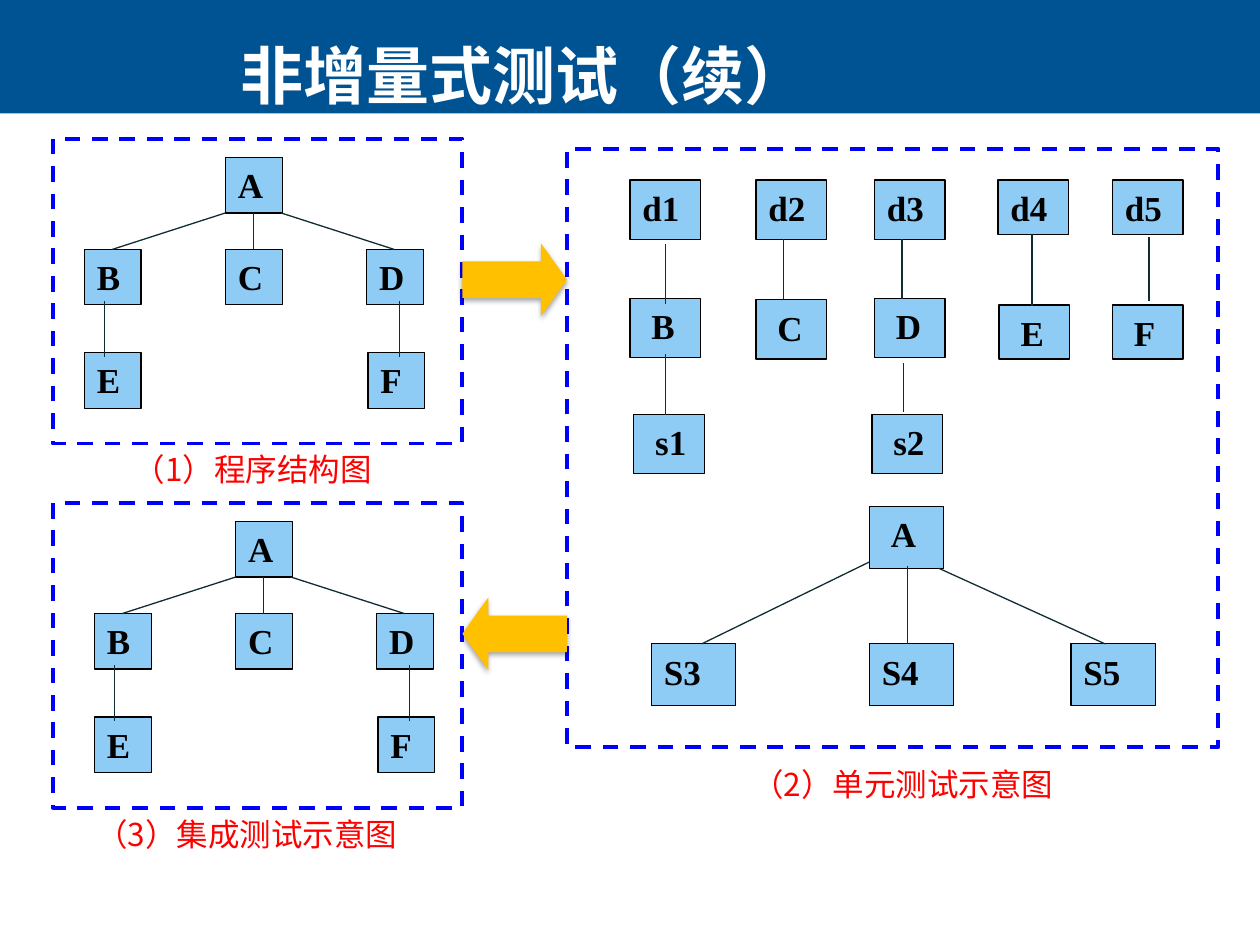
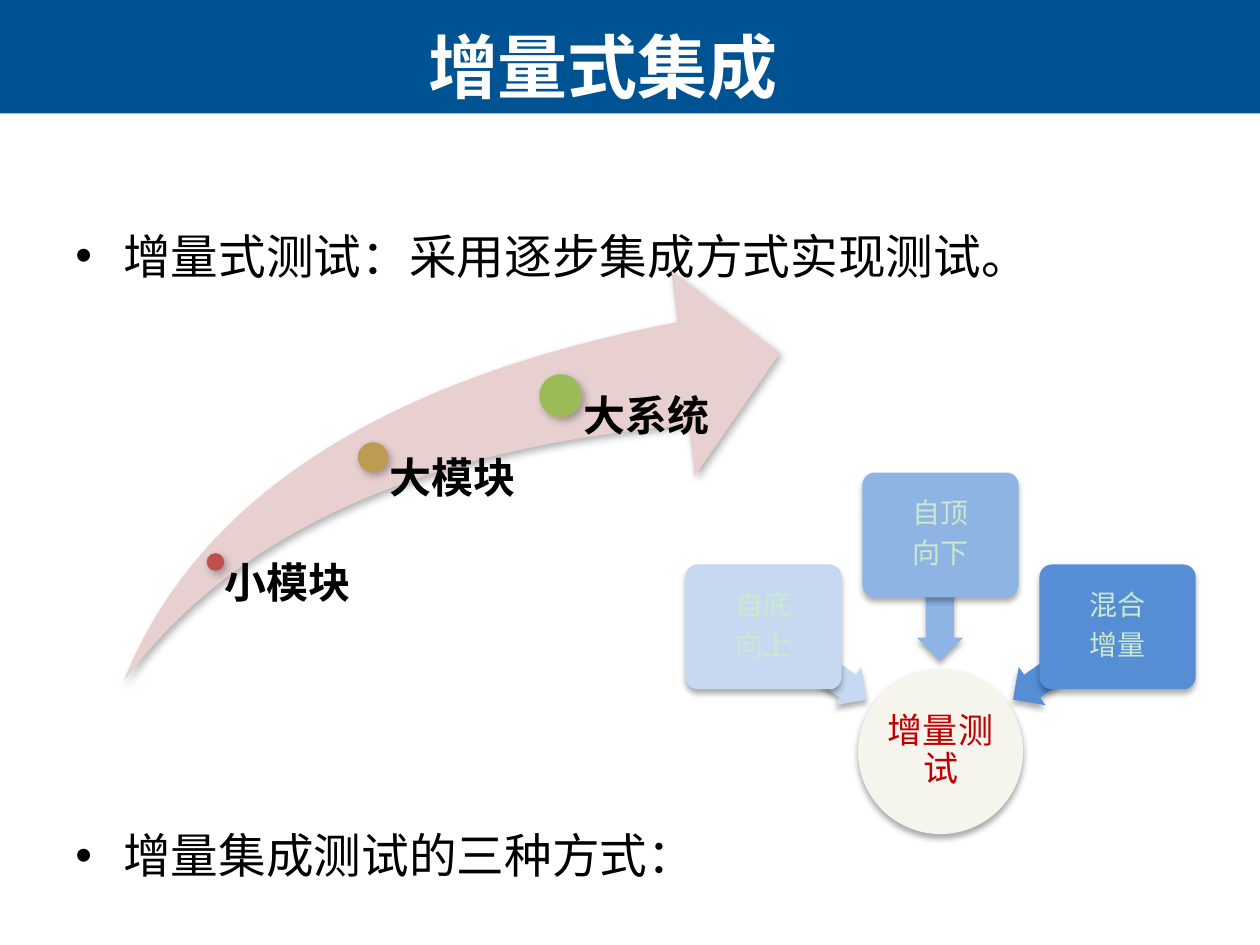
from dataclasses import dataclass

from lxml.etree import SubElement
from pptx import Presentation
from pptx.dml.color import RGBColor
from pptx.enum.dml import MSO_LINE
from pptx.enum.shapes import MSO_CONNECTOR, MSO_SHAPE as Shape
from pptx.enum.text import MSO_ANCHOR as Anchor, PP_ALIGN as Align
from pptx.oxml.ns import qn
from pptx.util import Inches, Pt


@dataclass(frozen=True)
class Theme:
    page: str = "FFFFFF"
    band: str = "005392"
    ink: str = "000000"
    node: str = "8FCCF5"
    link: str = "102C34"
    frame: str = "0000FF"
    caption: str = "FF0000"
    flow: str = "FFC000"
    pale: str = "CCE8CF"
    swoosh: str = "E8D0D0"
    hub: str = "F5F4ED"
    hub_text: str = "C00000"
    stages: tuple = ("C0504D", "BD9B53", "9BBB59")
    methods: tuple = ("C6D9F1", "8EB4E3", "558ED5")
    heading_font: str = "Arial"
    node_font: str = "Times New Roman"
    stage_font: str = "Calibri"
    chinese_font: str = "Noto Sans CJK SC"
    bullet_size: float = 27.2
    stage_size: int = 24
    node_size: int = 20
    caption_size: int = 18
    method_size: int = 16
    flow_shadow: tuple = (35, 3.1, 1.8, 90)
    growth_shadow: tuple = (30, 4.5, 2.6, 53)
    method_shadow: tuple = (32, 3.5, 2.2, 90)


class Board:
    COLUMNS, ROWS = 100, 75

    def __init__(self, theme):
        self.theme = theme
        self.deck = Presentation()
        self.deck.slide_width, self.deck.slide_height = Inches(10), Inches(7.5)
        self.slide = None

    def x(self, columns):
        return round(self.deck.slide_width * columns / self.COLUMNS)

    def y(self, rows):
        return round(self.deck.slide_height * rows / self.ROWS)

    def area(self, left, top, width, height):
        return self.x(left), self.y(top), self.x(width), self.y(height)

    def start(self, title, area, size):
        self.slide = self.deck.slides.add_slide(self.deck.slide_layouts[6])
        backdrop = self.slide.background.fill
        backdrop.solid()
        backdrop.fore_color.rgb = RGBColor.from_string(self.theme.page)
        self.shape(Shape.RECTANGLE, (0, 0, 100, 9), self.theme.band)
        self.text(area, title, self.theme.heading_font, size, self.theme.page,
                  bold=True, align=Align.CENTER, anchor=Anchor.MIDDLE)

    def shape(self, preset, area, fill=None, line=None, weight=0.75, adjust=(), turn=0, shadow=None):
        part = self.slide.shapes.add_shape(preset, *self.area(*area))
        part.shadow.inherit = False
        part.rotation = turn
        for index, share in enumerate(adjust):
            part.adjustments[index] = share
        if fill:
            part.fill.solid()
            part.fill.fore_color.rgb = RGBColor.from_string(fill)
        else:
            part.fill.background()
        if line:
            part.line.color.rgb = RGBColor.from_string(line)
            part.line.width = Pt(weight)
        else:
            part.line.fill.background()
        if shadow:
            self.cast(part, *shadow)
        return part

    def cast(self, part, opacity, blur, distance, angle):
        effects = part._element.spPr.find(qn("a:effectLst"))
        outer = SubElement(effects, qn("a:outerShdw"), blurRad=str(Pt(blur)), dist=str(Pt(distance)),
                           dir=str(angle * 60000), algn="ctr", rotWithShape="0")
        tint = SubElement(outer, qn("a:srgbClr"), val=self.theme.ink)
        SubElement(tint, qn("a:alpha"), val=str(opacity * 1000))

    def letter(self, part, lines, font, size, color, bold=False, align=Align.LEFT, anchor=Anchor.TOP,
               insets=(0.1, 0.05, 0.1, 0.05), spacing=None, after=0, gap=0, bullet=None):
        frame = part.text_frame
        frame.word_wrap = True
        frame.vertical_anchor = anchor
        frame.margin_left, frame.margin_top, frame.margin_right, frame.margin_bottom = map(Inches, insets)
        for index, line in enumerate(lines.split("\n")):
            paragraph = frame.add_paragraph() if index else frame.paragraphs[0]
            if bullet:
                self.mark(paragraph, bullet)
            paragraph.alignment = align
            paragraph.line_spacing = spacing
            paragraph.space_after = Pt(after)
            if index:
                paragraph.space_before = Pt(gap)
            run = paragraph.add_run()
            run.text = line
            run.font.name, run.font.size, run.font.bold = font, Pt(size), bold
            run.font.color.rgb = RGBColor.from_string(color)
            SubElement(run._r.get_or_add_rPr(), qn("a:ea"), typeface=self.theme.chinese_font)

    def mark(self, paragraph, bullet):
        properties = paragraph._p.get_or_add_pPr()
        properties.set("marL", str(Inches(0.38)))
        properties.set("indent", str(Inches(-0.38)))
        SubElement(properties, qn("a:buFont"), typeface=self.theme.heading_font)
        SubElement(properties, qn("a:buChar"), char=bullet)

    def text(self, area, lines, *style, **layout):
        self.letter(self.slide.shapes.add_textbox(*self.area(*area)), lines, *style, **layout)

    def node(self, label, area, indented=False):
        box = self.shape(Shape.RECTANGLE, area, self.theme.node, self.theme.ink)
        self.letter(box, label, self.theme.node_font, self.theme.node_size, self.theme.ink, bold=True,
                    insets=(0.17 if indented else 0.1, 0.05, 0.05, 0.05))

    def link(self, x1, y1, x2, y2):
        line = self.slide.shapes.add_connector(
            MSO_CONNECTOR.STRAIGHT, self.x(x1), self.y(y1), self.x(x2), self.y(y2))
        line.line.color.rgb = RGBColor.from_string(self.theme.link)
        line.line.width = Pt(0.75)
        SubElement(line._element.spPr, qn("a:effectLst"))

    def frame(self, *area):
        border = self.shape(Shape.RECTANGLE, area, line=self.theme.frame, weight=2.25)
        border.line.dash_style = MSO_LINE.DASH

    def caption(self, area, words):
        self.text(area, words, self.theme.chinese_font, self.theme.caption_size,
                  self.theme.caption, align=Align.CENTER)

    def module_tree(self, left, top):
        modules = {"A": (11.2, 0), "B": (0, 7.3), "C": (11.2, 7.3), "D": (22.4, 7.3),
                   "E": (0, 15.5), "F": (22.5, 15.5)}
        links = ((11.2, 4.4, 2.2, 7.3), (15.6, 4.4, 24.6, 7.3), (13.4, 4.4, 13.4, 7.3),
                 (1.6, 11.4, 1.6, 15.8), (25, 11.4, 25, 15.8))
        for module, (column, row) in modules.items():
            self.node(module, (left + column, top + row, 4.5, 4.4))
        for x1, y1, x2, y2 in links:
            self.link(left + x1, top + y1, left + x2, top + y2)
        self.frame(4.2, top - 1.5, 32.5, 24.2)


def non_incremental(board):
    board.start("非增量式测试（续）", (7.5, 2.8, 68.1, 6.2), 36)

    board.node("A", (69, 40.2, 5.9, 4.9), indented=True)
    root_links = ((69, 44.6, 55.7), (72, 44.9, 72), (74.5, 45.1, 87.7))
    for stub, left, (x1, y1, x2) in zip(("S3", "S4", "S5"), (51.7, 69, 85), root_links):
        board.node(stub, (left, 51.1, 6.7, 4.9))
        board.link(x1, y1, x2, 51.1)

    units = (("d1", "B", 50, 50, 4.7, 23.7, (52.8, 19.4, 24.1)),
             ("d2", "C", 60, 60, 4.7, 23.8, (62.2, 19, 23.7)),
             ("d3", "D", 69.4, 69.4, 4.7, 23.7, (71.6, 19, 23.7)),
             ("d4", "E", 79.2, 79.3, 4.3, 24.2, (81.9, 18.6, 24.3)),
             ("d5", "F", 88.3, 88.3, 4.3, 24.2, (91.2, 18.8, 23.9)))
    for driver, module, driver_left, module_left, height, module_top, (x, start, end) in units:
        board.node(driver, (driver_left, 14.3, 5.6, height))
        board.node(module, (module_left, module_top, 5.6, height), indented=True)
        board.link(x, start, x, end)
    for stub, left, x, start, end in (("s1", 50.3, 52.8, 28.1, 32.9), ("s2", 69.2, 71.7, 28.8, 32.7)):
        board.node(stub, (left, 32.9, 5.6, 4.7), indented=True)
        board.link(x, start, x, end)
    board.frame(45, 11.8, 51.7, 47.5)

    for left, top in ((6.7, 12.5), (7.5, 41.4)):
        board.module_tree(left, top)
    board.caption((4.2, 35.2, 31.7, 4), "（1）程序结构图")
    board.caption((1.7, 64.2, 35.8, 4), "（3）集成测试示意图")
    board.caption((52.5, 60.2, 38.3, 4), "（2）单元测试示意图")
    for direction, top in ((Shape.RIGHT_ARROW, 19.3), (Shape.LEFT_ARROW, 47.4)):
        board.shape(direction, (36.7, top, 8.3, 5.8), board.theme.flow,
                    adjust=(0.5, 0.357), shadow=board.theme.flow_shadow)


def incremental(board):
    theme = board.theme
    board.start("增量式集成", (13.8, 2.1, 68.1, 6.2), 40)
    board.text((5, 17.5, 90, 49.5), "增量式测试：采用逐步集成方式实现测试。\n增量集成测试的三种方式：",
               theme.heading_font, theme.bullet_size, theme.ink, gap=310, bullet="•")

    board.shape(Shape.SWOOSH_ARROW, (9.8, 21.5, 52.1, 32.6), theme.swoosh,
                adjust=(0.25, 0.25), shadow=theme.growth_shadow)
    stages = (("小模块", 17.1, 44.6, 1.4, 0.07), ("大模块", 29.6, 36.3, 2.4, 0.13),
              ("大系统", 44.5, 31.4, 3.4, 0.18))
    for (stage, x, y, size, inset), color in zip(stages, theme.stages):
        board.shape(Shape.OVAL, (x - size / 2, y - size / 2, size, size), color,
                    shadow=theme.growth_shadow)
        board.text((x, y, 12.5, 54 - y), stage, theme.stage_font, theme.stage_size, theme.ink,
                   bold=True, insets=(inset, 0, 0, 0), spacing=0.9)

    centered = dict(align=Align.CENTER, anchor=Anchor.MIDDLE, spacing=0.9)
    hub = board.shape(Shape.OVAL, (68.1, 53.1, 13.1, 13.1), theme.hub, shadow=theme.method_shadow)
    board.letter(hub, "增量测试", theme.chinese_font, theme.node_size, theme.hub_text,
                 insets=(0.01,) * 4, after=7, **centered)
    methods = (("自底\n向上", 44.8, 50.8, 215), ("自顶\n向下", 37.5, 45.6, 270),
               ("混合\n增量", 44.8, 50.8, 325))
    for index, (method, card_top, arrow_top, turn) in enumerate(methods):
        color = theme.methods[index]
        board.shape(Shape.LEFT_ARROW, (59.7 + 9.9 * index, arrow_top, 10, 3.7), color,
                    adjust=(0.6, 0.5), turn=turn, shadow=theme.method_shadow)
        card = board.shape(Shape.ROUNDED_RECTANGLE, (54.4 + 14.05 * index, card_top, 12.4, 9.9), color,
                           adjust=(0.1,), shadow=theme.method_shadow)
        board.letter(card, method, theme.chinese_font, theme.method_size, theme.pale,
                     insets=(0.03,) * 4, after=5.6, **centered)


def main():
    board = Board(Theme())
    non_incremental(board)
    incremental(board)
    board.deck.save("out.pptx")


if __name__ == "__main__":
    main()
